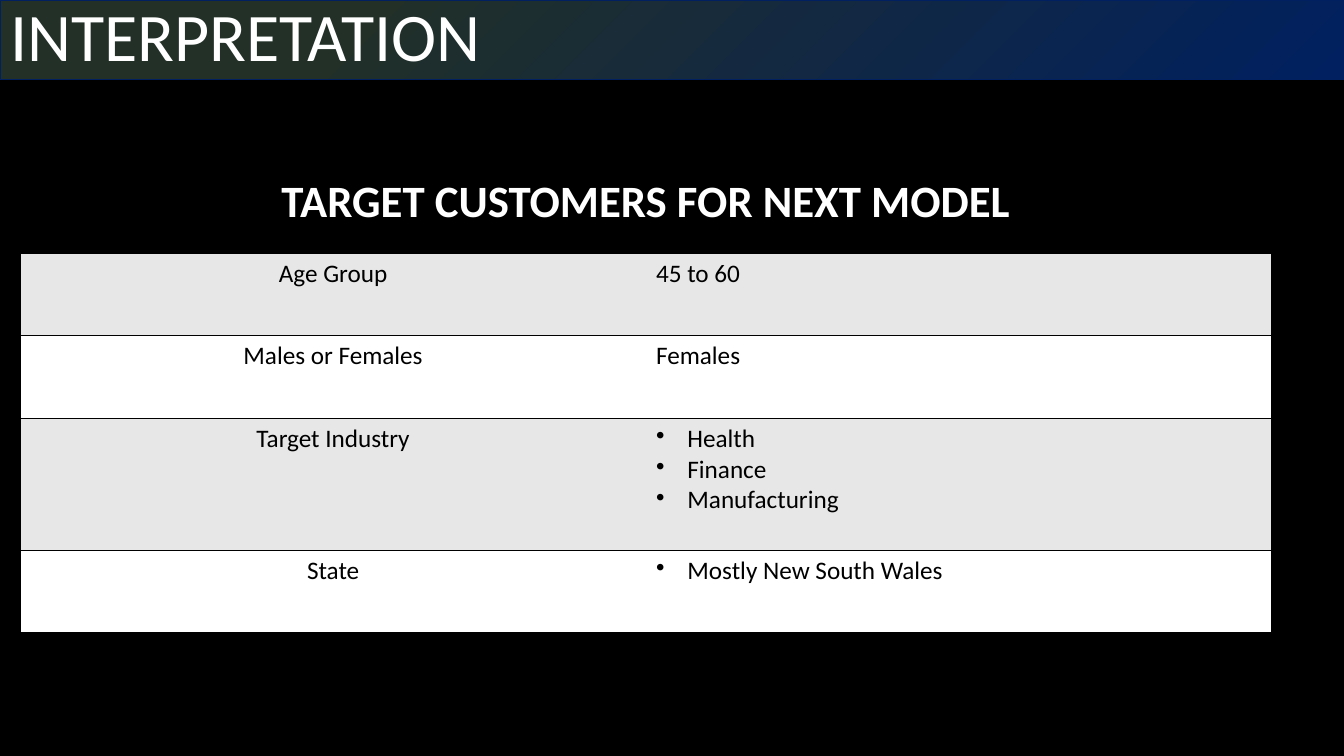
from lxml import etree
from pptx import Presentation
from pptx.dml.color import RGBColor
from pptx.enum import text
from pptx.oxml import parse_xml
from pptx.oxml.ns import nsdecls, qn
from pptx.util import Cm, Pt

TITLE = "INTERPRETATION"
HEADING = "TARGET CUSTOMERS FOR NEXT MODEL"
# label, answers, bulleted, row height in cm
ROWS = [
    ("Age Group", ["45 to 60"], False, 2.08),
    ("Males or Females", ["Females"], False, 2.08),
    ("Target Industry", ["Health", "Finance", "Manufacturing"], True, 3.33),
    ("State", ["Mostly New South Wales"], True, 2.08),
]
COLORS = {"black": "000000", "white": "FFFFFF", "band": "E7E7E7",
          "navy": "002060", "green": "223028"}
GRADIENT = [(0, "navy"), (74, "green"), (83, "green"), (100, "green")]
FONT = "Calibri"
HEADING_H, COL_W = 2.11, 15.77


def rgb(name):
    return RGBColor.from_string(COLORS[name])


def style(p, size, color, bold=False, align=text.PP_ALIGN.LEFT):
    p.alignment = align
    f = p.font
    f.name, f.size, f.bold = FONT, Pt(size), bold
    f.color.rgb = rgb(color)


def add_bullet(p):
    pPr = p._p.get_or_add_pPr()
    pPr.set("marL", str(Cm(0.79)))
    pPr.set("indent", str(-Cm(0.79)))
    bullet = parse_xml(f'<a:buChar {nsdecls("a")} char="•"/>')
    pPr.insert_element_before(bullet, "a:tabLst", "a:defRPr", "a:extLst")


def set_borders(cell, sides):
    """Black 1 pt lines on the given sides, none on the others."""
    tcPr = cell._tc.get_or_add_tcPr()
    for i, side in enumerate("LRTB"):
        ln = etree.Element(qn(f"a:ln{side}"), w=str(Pt(1)))
        if side in sides:
            fill = etree.SubElement(ln, qn("a:solidFill"))
            etree.SubElement(fill, qn("a:srgbClr"), val=COLORS["black"])
        else:
            etree.SubElement(ln, qn("a:noFill"))
        tcPr.insert(i, ln)


def fill_cell(cell, lines, fill, sides, bulleted=False, **font):
    cell.fill.solid()
    cell.fill.fore_color.rgb = rgb(fill)
    set_borders(cell, sides)
    tf = cell.text_frame
    tf.text = "\n".join(lines)
    for p in tf.paragraphs:
        style(p, **font)
        if bulleted:
            add_bullet(p)


prs = Presentation()
prs.slide_width, prs.slide_height = Cm(33.87), Cm(19.05)
s = prs.slides.add_slide(prs.slide_layouts[5])
s.background.fill.solid()
s.background.fill.fore_color.rgb = rgb("black")

# Title bar with a radial gradient from the bottom right corner
title = s.shapes.title
title.left, title.top, title.width, title.height = 0, 0, prs.slide_width, Cm(2.01)
stops = "".join(f'<a:gs pos="{pos * 1000}"><a:srgbClr val="{COLORS[c]}"/></a:gs>'
                for pos, c in GRADIENT)
gradient = parse_xml(
    f'<a:gradFill {nsdecls("a")} rotWithShape="1"><a:gsLst>{stops}</a:gsLst>'
    '<a:path path="circle"><a:fillToRect l="100000" t="100000"/></a:path></a:gradFill>')
title.fill.solid()
spPr = title._element.spPr
spPr.replace(spPr.find(qn("a:solidFill")), gradient)
title.line.color.rgb = rgb("navy")
title.line.width = Pt(0.75)
tf = title.text_frame
tf.text = TITLE
tf.auto_size = text.MSO_AUTO_SIZE.NONE
tf.vertical_anchor = text.MSO_ANCHOR.MIDDLE
style(tf.paragraphs[0], 48.6, "white")
tf.paragraphs[0].line_spacing = 0.9

# Table
heights = [HEADING_H] + [row[3] for row in ROWS]
table = s.shapes.add_table(len(heights), 2, Cm(0.51), Cm(4.27),
                           Cm(2 * COL_W), Cm(sum(heights))).table
table.first_row = table.horz_banding = False
for col in table.columns:
    col.width = Cm(COL_W)
for row, height in zip(table.rows, heights):
    row.height = Cm(height)

# Heading across both columns
center = text.PP_ALIGN.CENTER
table.cell(0, 0).merge(table.cell(0, 1))
fill_cell(table.cell(0, 0), [HEADING], "black", "LRTB",
          size=32, color="white", bold=True, align=center)

# Banded rows
for i, (label, answers, bulleted, _) in enumerate(ROWS, 1):
    band = "band" if i % 2 else "white"
    fill_cell(table.cell(i, 0), [label], band, "LTB",
              size=18, color="black", align=center)
    fill_cell(table.cell(i, 1), answers, band, "RTB", bulleted,
              size=18, color="black")

prs.save("out.pptx")
